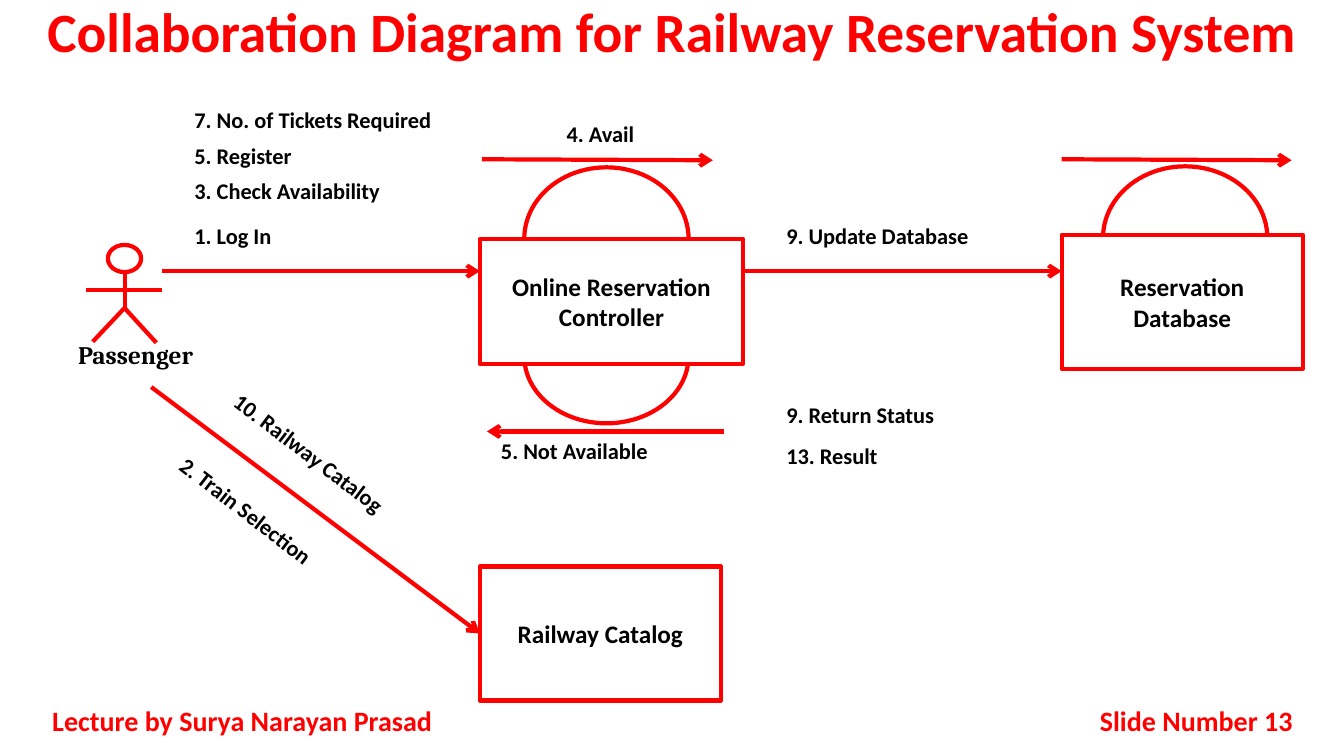
import pptx
import pptx.dml.color
import pptx.enum.shapes
import pptx.enum.text
import pptx.oxml
import pptx.oxml.ns
import pptx.util
from pptx.util import Inches

RED = pptx.dml.color.RGBColor(0xFF, 0x00, 0x00)
BLACK = pptx.dml.color.RGBColor(0x00, 0x00, 0x00)
WHITE = pptx.dml.color.RGBColor(0xFF, 0xFF, 0xFF)
ALIGN = pptx.enum.text.PP_ALIGN
ANCHOR = pptx.enum.text.MSO_ANCHOR
SHAPE = pptx.enum.shapes.MSO_SHAPE
LINE_WIDTH = pptx.util.Pt(3)


def write_text(shape, text, size=16, color=BLACK, font="Calibri",
               align=ALIGN.LEFT, anchor=ANCHOR.TOP, spacing=None):
    frame = shape.text_frame
    frame.word_wrap = True
    frame.auto_size = pptx.enum.text.MSO_AUTO_SIZE.NONE
    frame.vertical_anchor = anchor
    paragraph = frame.paragraphs[0]
    paragraph.alignment = align
    paragraph.line_spacing = spacing
    run = paragraph.add_run()
    run.text = text
    run.font.name = font
    run.font.size = pptx.util.Pt(size)
    run.font.bold = True
    run.font.color.rgb = color


def add_line(start_x, start_y, end_x, end_y, arrow=True):
    connector = slide.shapes.add_connector(
        pptx.enum.shapes.MSO_CONNECTOR.STRAIGHT,
        Inches(start_x), Inches(start_y), Inches(end_x), Inches(end_y))
    connector.line.color.rgb = RED
    connector.line.width = LINE_WIDTH
    properties = connector._element.spPr
    if arrow:
        tail = pptx.oxml.ns.qn("a:tailEnd")
        line = properties.find(pptx.oxml.ns.qn("a:ln"))
        line.append(line.makeelement(tail, {"type": "arrow"}))
    properties.append(properties.makeelement(pptx.oxml.ns.qn("a:effectLst"), {}))
    return connector


presentation = pptx.Presentation()
presentation.slide_width = Inches(13.33)
presentation.slide_height = Inches(7.5)
slide = presentation.slides.add_slide(presentation.slide_layouts[5])

title = slide.shapes.title
title.left, title.top = Inches(0), Inches(0)
title.width, title.height = Inches(13.33), Inches(0.83)
write_text(title, "Collaboration Diagram for Railway Reservation System",
           size=39.6, color=RED, align=ALIGN.CENTER, spacing=0.9)

footers = [
    ("Lecture by Surya Narayan Prasad", 0.42, 4.17, ALIGN.JUSTIFY),
    ("Slide Number 13", 10.17, 2.75, ALIGN.RIGHT),
]
for text, left, width, align in footers:
    footer = slide.shapes.add_textbox(Inches(left), Inches(6.95), Inches(width), Inches(0.4))
    write_text(footer, text, size=20, color=RED, align=align, anchor=ANCHOR.MIDDLE)

outlined_shapes = [
    (SHAPE.OVAL, 10.94, 1.65, 1.63, 1.42, True, None),
    (SHAPE.OVAL, 5.2, 2.87, 1.63, 1.33, False, None),
    (SHAPE.OVAL, 5.2, 1.66, 1.63, 1.42, True, None),
    (SHAPE.OVAL, 1.07, 2.43, 0.33, 0.27, True, None),
    (SHAPE.RECTANGLE, 4.76, 2.37, 2.61, 1.24, True, "Online Reservation Controller"),
    (SHAPE.RECTANGLE, 10.53, 2.33, 2.39, 1.33, True, "Reservation Database"),
    (SHAPE.RECTANGLE, 4.76, 5.62, 2.39, 1.33, False, "Railway Catalog"),
]
boxes = {}
for kind, left, top, width, height, filled, text in outlined_shapes:
    shape = slide.shapes.add_shape(kind, Inches(left), Inches(top), Inches(width), Inches(height))
    shape.shadow.inherit = False
    shape.line.color.rgb = RED
    shape.line.width = LINE_WIDTH
    if filled:
        shape.fill.solid()
        shape.fill.fore_color.rgb = WHITE
    else:
        shape.fill.background()
    if text:
        write_text(shape, text, size=18, align=ALIGN.CENTER, anchor=ANCHOR.MIDDLE)
        boxes[text] = shape

passenger_limbs = [
    (1.24, 2.7, 1.24, 3.06),
    (1.25, 3.04, 0.92, 3.39),
    (1.23, 3.05, 1.55, 3.4),
    (0.85, 2.88, 1.61, 2.88),
]
for limb in passenger_limbs:
    add_line(*limb, arrow=False)

message_arrows = [
    (1.61, 2.69, 4.76, 2.69),
    (7.37, 2.69, 10.53, 2.69),
    (4.78, 1.58, 7.07, 1.59),
    (10.53, 1.58, 12.81, 1.59),
    (7.18, 4.28, 4.83, 4.28),
]
for arrow in message_arrows:
    add_line(*arrow)
catalog_arrow = add_line(1.5, 3.84, 4.76, 6.29)
catalog_arrow.end_connect(boxes["Railway Catalog"], 1)

messages = [
    ("7. No. of Tickets Required", 1.83, 1, 3.37, 0),
    ("5. Register", 1.83, 1.36, 2.39, 0),
    ("3. Check Availability", 1.83, 1.71, 3.04, 0),
    ("1. Log In", 1.83, 2.15, 2.39, 0),
    ("9. Update Database", 7.7, 2.15, 2.72, 0),
    ("9. Return Status", 7.7, 3.93, 2.39, 0),
    ("13. Result", 7.7, 4.34, 2.39, 0),
    ("5. Not Available", 4.87, 4.29, 2.39, 0),
    ("10. Railway Catalog", 1.99, 4.53, 2.72, 37.2),
    ("2. Train Selection", 1.45, 5.17, 2.72, 37.6),
]
for text, left, top, width, rotation in messages:
    message = slide.shapes.add_textbox(Inches(left), Inches(top), Inches(width), Inches(0.39))
    message.rotation = rotation
    write_text(message, text)

avail = slide.shapes.add_textbox(Inches(4.76), Inches(1.14), Inches(2.39), Inches(0.39))
write_text(avail, "4. Avail", align=ALIGN.CENTER)
passenger = slide.shapes.add_textbox(Inches(0.42), Inches(3.32), Inches(1.85), Inches(0.43))
write_text(passenger, "Passenger", size=18, font="Cambria", align=ALIGN.CENTER)

presentation.save("out.pptx")
